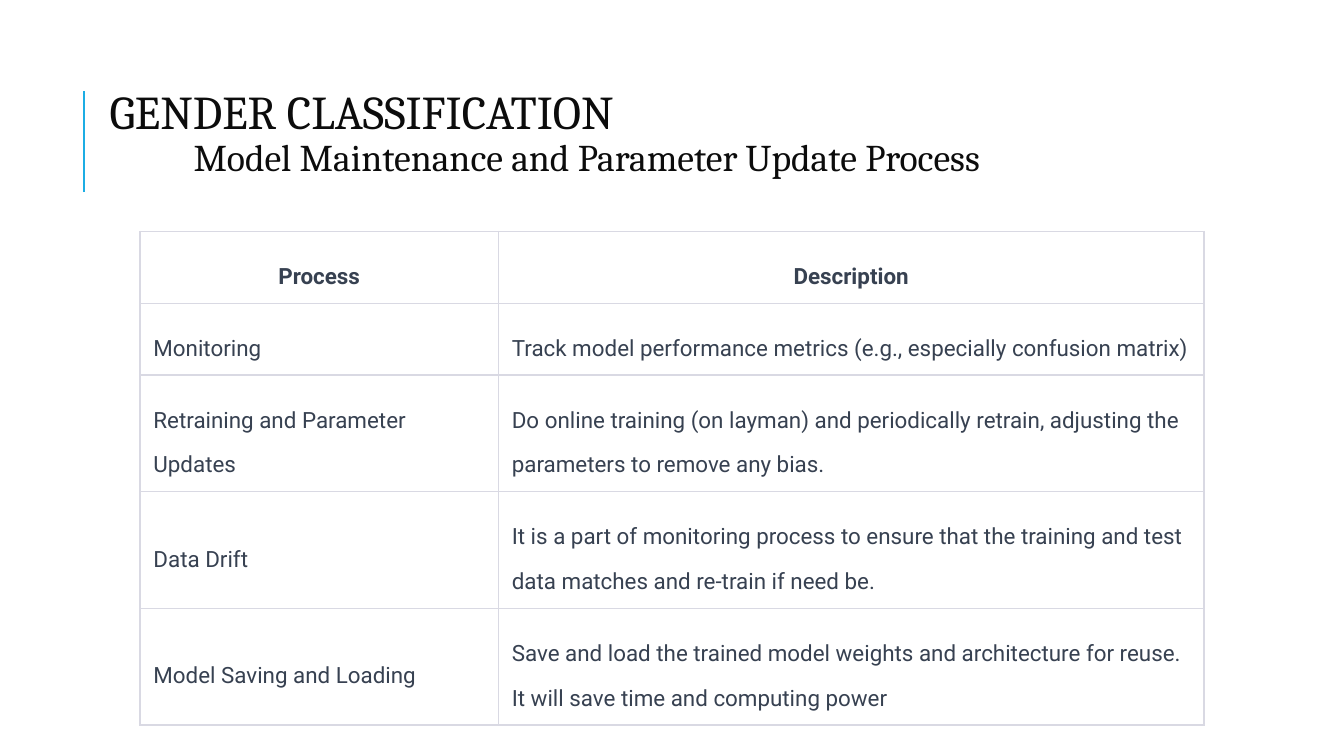
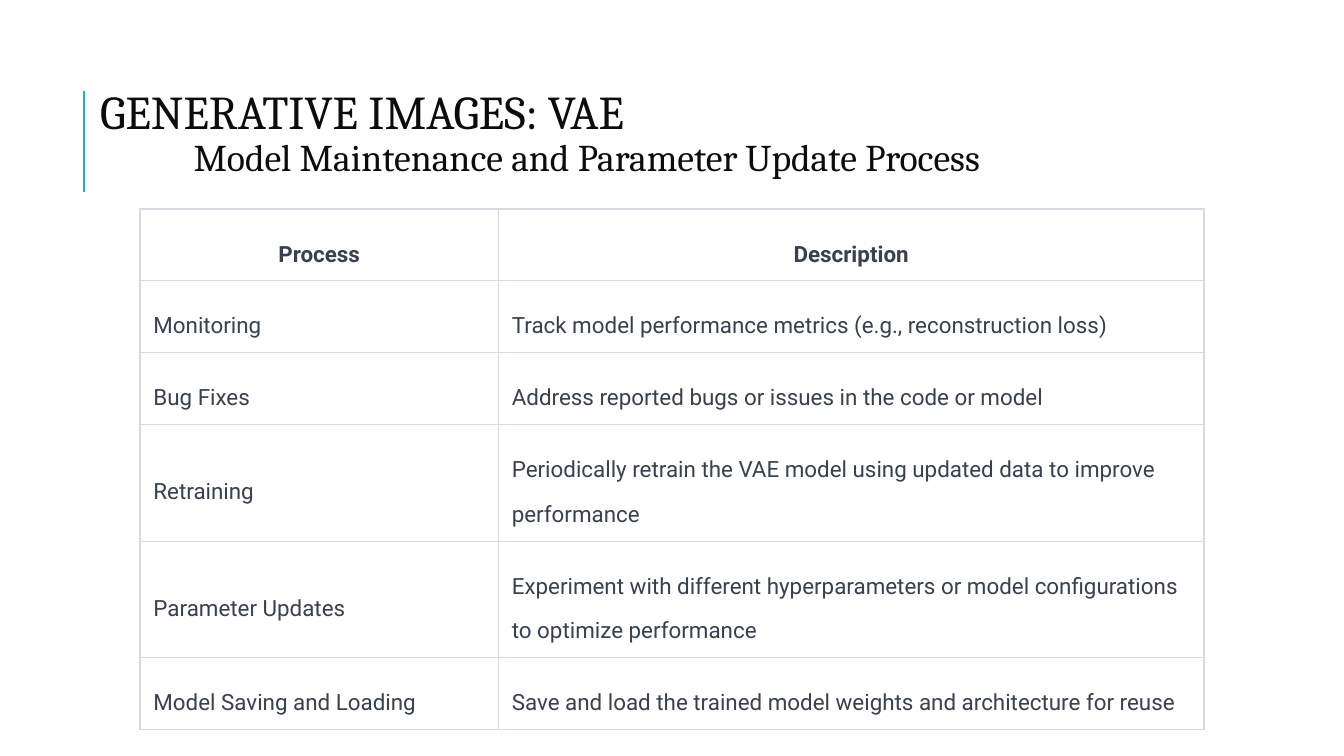
from dataclasses import dataclass

from lxml import etree
from pptx import Presentation
from pptx.dml.color import RGBColor
from pptx.enum.shapes import MSO_CONNECTOR
from pptx.enum.text import MSO_ANCHOR, MSO_AUTO_SIZE, PP_ALIGN
from pptx.oxml.ns import qn
from pptx.util import Pt

STRAIGHT = MSO_CONNECTOR.STRAIGHT
TOP, MIDDLE, BOTTOM = MSO_ANCHOR.TOP, MSO_ANCHOR.MIDDLE, MSO_ANCHOR.BOTTOM
LEFT, CENTER = PP_ALIGN.LEFT, PP_ALIGN.CENTER
NO_AUTOFIT = MSO_AUTO_SIZE.NONE


@dataclass(frozen=True)
class Theme:
    accent: RGBColor = RGBColor(0x1C, 0xAD, 0xE4)
    title: RGBColor = RGBColor(0x0C, 0x0C, 0x0C)
    text: RGBColor = RGBColor(0x37, 0x41, 0x51)
    border: str = "D9D9E3"
    title_font: str = "Cambria"
    table_font: str = "Roboto"
    title_size: float = 25.2
    subtitle_size: float = 20.2
    table_size: float = 12


THEME = Theme()
SUBTITLE = "Model Maintenance and Parameter Update Process"
HEADER = ("Process", "Description")
COLUMN_WIDTHS = (192, 378)
ROW_HEIGHT = 30

SLIDES = [
    ("GENDER CLASSIFICATION", 27, 124, [
        ("Monitoring",
         "Track model performance metrics (e.g., especially confusion matrix)"),
        ("Retraining and Parameter Updates",
         "Do online training (on layman) and periodically retrain, adjusting "
         "the parameters to remove any bias."),
        ("Data Drift",
         "It is a part of monitoring process to ensure that the training and "
         "test data matches and re-train if need be."),
        ("Model Saving and Loading",
         "Save and load the trained model weights and architecture for reuse. "
         "It will save time and computing power"),
    ]),
    ("GENERATIVE IMAGES: VAE", 22, 112, [
        ("Monitoring",
         "Track model performance metrics (e.g., reconstruction loss)"),
        ("Bug Fixes", "Address reported bugs or issues in the code or model"),
        ("Retraining",
         "Periodically retrain the VAE model using updated data to improve "
         "performance"),
        ("Parameter Updates",
         "Experiment with different hyperparameters or model configurations "
         "to optimize performance"),
        ("Model Saving and Loading",
         "Save and load the trained model weights and architecture for reuse"),
    ]),
]


def style(p, name, size, color, spacing, bold=False):
    p.line_spacing = spacing
    p.font.name = name
    p.font.size = Pt(size)
    p.font.color.rgb = color
    p.font.bold = bold


def add_borders(cell):
    tcPr = cell._tc.get_or_add_tcPr()
    for side in ("lnL", "lnR", "lnT", "lnB"):
        ln = etree.SubElement(tcPr, qn(f"a:{side}"), w=str(Pt(0.75)))
        fill = etree.SubElement(ln, qn("a:solidFill"))
        etree.SubElement(fill, qn("a:srgbClr"), val=THEME.border)


prs = Presentation()
prs.slide_width, prs.slide_height = Pt(720), Pt(405)
title_only = prs.slide_layouts[5]

for heading, indent, table_top, rows in SLIDES:
    s = prs.slides.add_slide(title_only)

    bar = s.shapes.add_connector(STRAIGHT, Pt(45), Pt(103), Pt(45), Pt(49))
    bar.line.color.rgb = THEME.accent
    bar.line.width = Pt(1.5)
    etree.SubElement(bar._element.spPr, qn("a:effectLst"))

    title = s.shapes.title
    title.left, title.top = Pt(24.5), Pt(35.3)
    title.width, title.height = Pt(671), Pt(55.5)
    tf = title.text_frame
    tf.auto_size = NO_AUTOFIT
    tf.word_wrap = True
    tf.vertical_anchor = TOP
    tf.margin_left = tf.margin_right = tf.margin_bottom = Pt(7.2)
    tf.margin_top = Pt(14.5)
    tf.text = f"{heading}\n{SUBTITLE}"
    sizes = (THEME.title_size, THEME.subtitle_size)
    for p, size, margin in zip(tf.paragraphs, sizes, (indent, 72)):
        pPr = p._p.get_or_add_pPr()
        pPr.set("marL", str(Pt(margin)))
        pPr.set("indent", "0")
        p.alignment = LEFT
        p.space_before = Pt(0)
        style(p, THEME.title_font, size, THEME.title, 0.8)
    tf.paragraphs[1].space_before = Pt(2.5)

    cells = [HEADER] + rows
    table = s.shapes.add_table(
        len(cells), len(HEADER), Pt(75), Pt(table_top),
        Pt(sum(COLUMN_WIDTHS)), Pt(ROW_HEIGHT * len(cells))).table
    table.horz_banding = False
    for column, width in zip(table.columns, COLUMN_WIDTHS):
        column.width = Pt(width)
    for i, row in enumerate(cells):
        for j, text in enumerate(row):
            cell = table.cell(i, j)
            add_borders(cell)
            cell.fill.background()
            cell.vertical_anchor = MIDDLE if i else BOTTOM
            cell.margin_left = cell.margin_right = Pt(7.2)
            cell.margin_top = cell.margin_bottom = Pt(7.2)
            cell.text = text
            p = cell.text_frame.paragraphs[0]
            p.alignment = LEFT if i else CENTER
            style(p, THEME.table_font, THEME.table_size, THEME.text, 1.71, i == 0)

prs.save("out.pptx")
